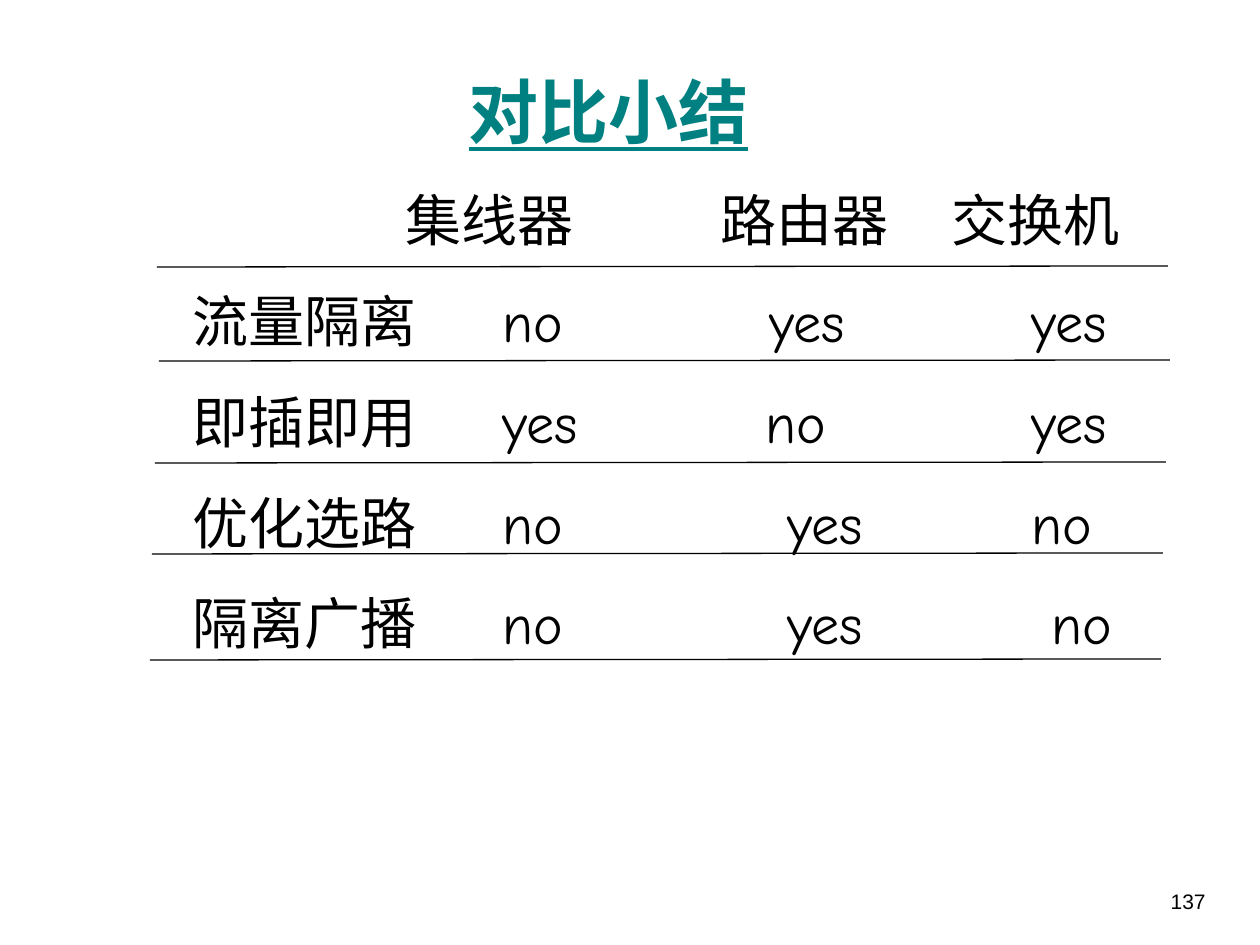
from typing import NamedTuple

from lxml.etree import SubElement
from pptx import Presentation
from pptx.dml.color import RGBColor
from pptx.enum.shapes import MSO_CONNECTOR
from pptx.enum.text import MSO_ANCHOR, PP_ALIGN
from pptx.oxml.ns import qn
from pptx.util import Emu, Pt

PX_PER_INCH = 126
COLORS = {"ink": "000000", "title": "008080"}


class Box(NamedTuple):
    left: int
    top: int
    width: int
    height: int


class Style(NamedTuple):
    font: str
    size: int
    color: str
    bold: bool = False
    underline: bool = False


class Row(NamedTuple):
    cells: tuple[str, ...]
    stops: tuple[int, ...]  # tab positions from the text edge


class Rule(NamedTuple):
    left: int
    top: int


TITLE_STYLE = Style("Times New Roman", 40, "title", bold=True, underline=True)
ROW_STYLE = Style("Comic Neue", 32, "ink")
NUMBER_STYLE = Style("Arial", 12, "ink")

ROWS = (
    Row(("", "集线器", "路由器", "交换机"), (213, 528, 759)),
    Row(("流量隔离", "no", "yes", "yes"), (310, 577, 839)),
    Row(("即插即用", "yes", "no", "yes"), (310, 573, 839)),
    Row(("优化选路", "no", "yes", "no"), (310, 595, 839)),
    Row(("隔离广播", "no", "yes", "no"), (310, 595, 859)),
)
RULES = (Rule(157, 267), Rule(159, 361), Rule(155, 463), Rule(152, 554), Rule(150, 660))
RULE_WIDTH, RULE_RISE = 1011, 1


def px(length: int) -> Emu:
    return Emu(round(length * 914400 / PX_PER_INCH))


def add_text(slide, box: Box, lines: list[str], style: Style,
             align: PP_ALIGN = PP_ALIGN.LEFT, anchor: MSO_ANCHOR = MSO_ANCHOR.TOP):
    frame = slide.shapes.add_textbox(*map(px, box)).text_frame
    frame.word_wrap = True
    frame.vertical_anchor = anchor
    frame.text = "\n".join(lines)
    for paragraph in frame.paragraphs:
        paragraph.alignment = align
        for run in paragraph.runs:
            run.font.name = style.font
            run.font.size = Pt(style.size)
            run.font.bold = style.bold
            run.font.underline = style.underline
            run.font.color.rgb = RGBColor.from_string(COLORS[style.color])
    return frame


def add_rows(slide, box: Box, rows: tuple[Row, ...]) -> None:
    frame = add_text(slide, box, ["\t".join(row.cells) for row in rows], ROW_STYLE)
    for paragraph, row in zip(frame.paragraphs, rows):
        tabs = SubElement(paragraph._p.get_or_add_pPr(), qn("a:tabLst"))
        for stop in row.stops:
            SubElement(tabs, qn("a:tab"), pos=str(px(stop)), algn="l")
        paragraph.line_spacing = 1.5


def add_rule(slide, rule: Rule) -> None:
    line = slide.shapes.add_connector(
        MSO_CONNECTOR.STRAIGHT, px(rule.left), px(rule.top),
        px(rule.left + RULE_WIDTH), px(rule.top - RULE_RISE))
    line.line.color.rgb = RGBColor.from_string(COLORS["ink"])
    line.line.width = Pt(0.75)
    SubElement(line._element.spPr, qn("a:effectLst"))


def main() -> None:
    presentation = Presentation()
    presentation.slide_width, presentation.slide_height = px(1260), px(945)
    slide = presentation.slides.add_slide(presentation.slide_layouts[6])

    # Page number and title
    add_text(slide, Box(1125, 882, 93, 63), ["137"], NUMBER_STYLE, PP_ALIGN.RIGHT)
    add_text(slide, Box(73, 32, 1071, 157), ["对比小结"], TITLE_STYLE,
             PP_ALIGN.CENTER, MSO_ANCHOR.MIDDLE)

    # Comparison rows, each underlined by a rule
    add_rows(slide, Box(180, 146, 954, 517), ROWS)
    for rule in RULES:
        add_rule(slide, rule)

    presentation.save("out.pptx")


if __name__ == "__main__":
    main()
